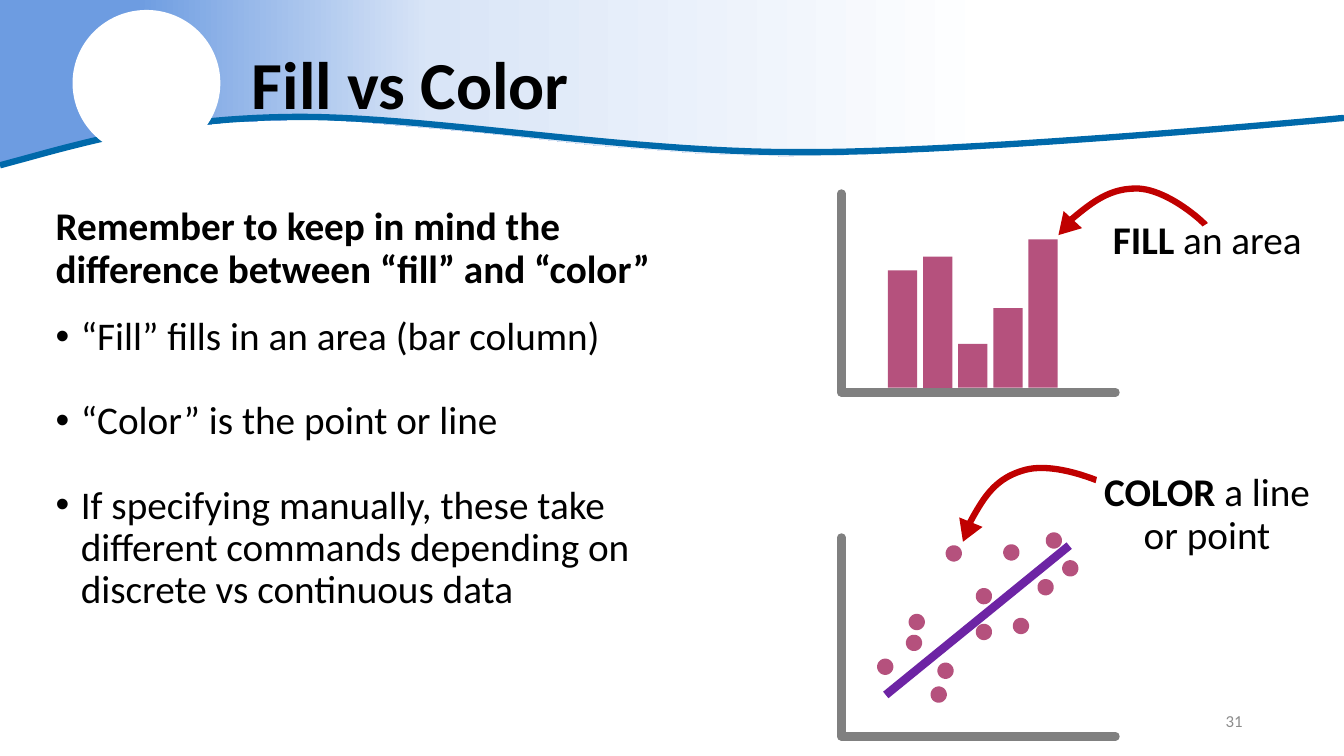
from dataclasses import dataclass

from lxml import etree
from pptx import Presentation
from pptx.dml.color import RGBColor
from pptx.enum.shapes import MSO_CONNECTOR, MSO_SHAPE
from pptx.enum.text import MSO_ANCHOR, PP_ALIGN
from pptx.oxml import parse_xml
from pptx.oxml.ns import nsdecls, qn
from pptx.util import Inches, Pt

COLORS = {
    "ink": "000000", "number": "8C8C8C", "white": "FFFFFF", "wave": "0069AA",
    "sky": "6D9CE1", "mist": "D9E5F7", "axis": "808080", "data": "B5517D",
    "dot": "BF9000", "trend": "6D24A4", "arrow": "C00000",
}
FONT = "Calibri"
WIDTH, HEIGHT = Inches(13.33), Inches(7.5)


@dataclass
class Box:
    """An area whose inner places are given in percent of its size."""
    left: float
    top: float
    width: float
    height: float

    def point(self, x, y):
        return (round(self.left + self.width * x / 100),
                round(self.top + self.height * y / 100))

    def area(self, x, y, width, height):
        return Box(*self.point(x, y), round(self.width * width / 100),
                   round(self.height * height / 100))

    def frame(self):
        return self.left, self.top, self.width, self.height


def rgb(name):
    return RGBColor.from_string(COLORS[name])


def add_solid(shapes, kind, frame, fill, outline=None, points=0):
    solid = shapes.add_shape(kind, *frame)
    solid.shadow.inherit = False
    solid.fill.solid()
    solid.fill.fore_color.rgb = rgb(fill)
    if outline:
        solid.line.color.rgb = rgb(outline)
        solid.line.width = Pt(points)
    else:
        solid.line.fill.background()
    return solid


def add_line(shapes, start, end, color, cap="flat"):
    line = shapes.add_connector(MSO_CONNECTOR.STRAIGHT, *start, *end)
    line.line.color.rgb = rgb(color)
    line.line.width = Pt(6)
    line._element.spPr.find(qn("a:ln")).set("cap", cap)
    etree.SubElement(line._element.spPr, qn("a:effectLst"))


def add_outline(shapes, points, close):
    builder = shapes.build_freeform(*points[0])
    builder.add_line_segments(points[1:], close=close)
    outline = builder.convert_to_shape()
    outline.shadow.inherit = False
    return outline


def add_curve(shapes, box, knots, color):
    """Draw joined cubic curves; knots are start, then two handles and an end each."""
    steps = 24
    points = [box.point(*knots[0])]
    for first in range(0, len(knots) - 1, 3):
        a, b, c, d = knots[first:first + 4]
        for step in range(1, steps + 1):
            t = step / steps
            s = 1 - t
            points.append(box.point(*(
                s**3 * a[i] + 3 * s * s * t * b[i] + 3 * s * t * t * c[i] + t**3 * d[i]
                for i in (0, 1))))
    curve = add_outline(shapes, points, close=False)
    curve.fill.background()
    curve.line.color.rgb = rgb(color)
    curve.line.width = Pt(4.5)


def add_text(shapes, box, paragraphs, size, color="ink", align=PP_ALIGN.LEFT,
             anchor=MSO_ANCHOR.TOP, spacing=0.9):
    """Each paragraph is (runs, space before, bulleted); each run is (text, bold)."""
    frame = shapes.add_textbox(*box.frame()).text_frame
    frame.word_wrap = True
    frame.vertical_anchor = anchor
    for index, (runs, before, bulleted) in enumerate(paragraphs):
        paragraph = frame.paragraphs[0] if index == 0 else frame.add_paragraph()
        if bulleted:
            properties = paragraph._p.get_or_add_pPr()
            properties.set("marL", str(Inches(0.25)))
            properties.set("indent", str(-Inches(0.25)))
            etree.SubElement(properties, qn("a:buFont")).set("typeface", "Arial")
            etree.SubElement(properties, qn("a:buChar")).set("char", "•")
        paragraph.alignment = align
        paragraph.line_spacing = spacing
        paragraph.space_before = Pt(before)
        for text, bold in runs:
            run = paragraph.add_run()
            run.text = text
            run.font.name = FONT
            run.font.size = Pt(size)
            run.font.bold = bold
            run.font.color.rgb = rgb(color)


def add_header(shapes, box):
    edge = [(0, 0), (100, 0), (100, 72.7), (90.5, 79.4), (82.5, 84.2), (73.7, 89.1),
            (67.7, 91.5), (62.5, 93.3), (58.4, 93.9), (55.7, 93.3), (51.9, 92.1),
            (44.3, 87.3), (36.1, 80), (26.9, 73.3), (24.5, 72.1), (21.6, 72.1),
            (17.1, 73.3), (11.9, 78.2), (6.5, 86.1), (1.4, 95.8), (0, 100)]
    banner = add_outline(shapes, [box.point(*corner) for corner in edge], close=True)
    banner.line.fill.background()
    banner.fill.gradient()
    banner.fill.gradient_angle = 0
    stops = banner._element.spPr.find(qn("a:gradFill")).find(qn("a:gsLst"))
    for stop in list(stops):
        stops.remove(stop)
    for percent, name in ((10, "sky"), (32, "mist"), (74, "white")):
        stops.append(parse_xml(
            f'<a:gs {nsdecls("a")} pos="{percent * 1000}">'
            f'<a:srgbClr val="{COLORS[name]}"/></a:gs>'))
    add_curve(shapes, box, [
        (0, 99.4), (5.6, 87.3), (11.6, 71.5), (21.5, 70.3), (31.4, 69.1), (46.1, 91.5),
        (59.3, 91.5), (72.3, 92.1), (100, 70.9), (100, 70.9)], "wave")
    add_solid(shapes, MSO_SHAPE.OVAL, box.area(5.4, 6, 11, 88).frame(), "white")
    add_text(shapes, box.area(18, 12, 75.2, 81.2), [([("Fill vs Color", True)], 0, False)],
             48, anchor=MSO_ANCHOR.MIDDLE)


def add_reminder(shapes, box):
    add_text(shapes, box, [
        ([("Remember to keep in mind the difference between “fill” and “color”", True)],
         0, False),
        ([("“Fill” fills in an area (bar column)", False)], 18, True),
        ([("“Color” is the point or line", False)], 30, True),
        ([("If specifying manually, these take different commands depending on "
           "discrete vs continuous data", False)], 30, True)], 28)


def add_axes(shapes, box):
    add_line(shapes, box.point(100, 100), box.point(0, 100), "axis", "rnd")
    add_line(shapes, box.point(0, 0), box.point(0, 100), "axis", "rnd")


def add_callout(shapes, box, knots, tip, turn, label, runs, spacing):
    arrow = shapes.add_group_shape().shapes
    add_curve(arrow, box, knots, "arrow")
    x, y = box.point(*tip)
    width, height = Inches(0.25), Inches(0.21)
    head = add_solid(arrow, MSO_SHAPE.ISOSCELES_TRIANGLE,
                     (x - width // 2, y - height // 2, width, height), "arrow")
    head.rotation = 180 + turn
    add_text(shapes, box.area(*label), [(runs, 0, False)], 28,
             align=PP_ALIGN.CENTER, spacing=spacing)


def add_bar_sketch(shapes, box):
    add_axes(shapes.add_group_shape().shapes, box)
    bars = shapes.add_group_shape().shapes
    for index, height in enumerate((59, 66, 22, 40, 74.6)):
        bar = box.area(17 + 12.8 * index, 97.7 - height, 10.7, height)
        add_solid(bars, MSO_SHAPE.RECTANGLE, bar.frame(), "data")
    add_callout(shapes, box, [
        (132.7, 15.7), (132.7, 15.2), (119.9, -1.5), (108.5, -2.5),
        (97.4, -3), (90.8, 5.1), (82, 15.2)], (81.8, 17), 42.9,
        (87.5, 13.2, 91.9, 25.9), [("FILL", True), (" an area", False)], 0.8)


def add_scatter_sketch(shapes, box):
    cloud = shapes.add_group_shape().shapes
    dot = Inches(0.08)
    add_line(cloud, box.point(16.2, 79.2), box.point(83.1, 4.1), "trend")
    for place in ((26.5, 53), (16, 65), (65.5, 44.5), (77.5, 1.5), (38, 67), (41, 8),
                  (74.5, 25), (27.5, 42.5), (52, 47.5), (62, 7.5), (35.5, 79),
                  (83.5, 15.5), (52, 29.5)):
        x, y = box.point(*place)
        add_solid(cloud, MSO_SHAPE.OVAL, (x - dot // 2, y - dot // 2, dot, dot),
                  "dot", "data", 6)
    add_axes(shapes.add_group_shape().shapes, box)
    add_callout(shapes, box, [
        (93, -28.9), (92.6, -28.9), (76.5, -38.6), (65.8, -33.5),
        (55.1, -28.9), (51.1, -18.3), (45.6, -4.1)], (45.8, -2.8), 22.1,
        (90.4, -35, 86, 50.3), [("COLOR", True), (" a line or point", False)], 0.9)


def main():
    deck = Presentation()
    deck.slide_width, deck.slide_height = WIDTH, HEIGHT
    shapes = deck.slides.add_slide(deck.slide_layouts[6]).shapes
    page = Box(0, 0, WIDTH, HEIGHT)
    add_header(shapes, page.area(0, 0, 100, 22))
    add_reminder(shapes, page.area(3.4, 26.7, 46.7, 63.5))
    add_text(shapes, page.area(70.7, 92.7, 22.5, 5.3), [([("31", False)], 0, False)], 12,
             "number", PP_ALIGN.RIGHT, MSO_ANCHOR.MIDDLE, 1)
    add_scatter_sketch(shapes, page.area(62.6, 71.1, 20.4, 26.3))
    add_bar_sketch(shapes, page.area(62.6, 25.6, 20.4, 26.3))
    deck.save("out.pptx")


if __name__ == "__main__":
    main()
